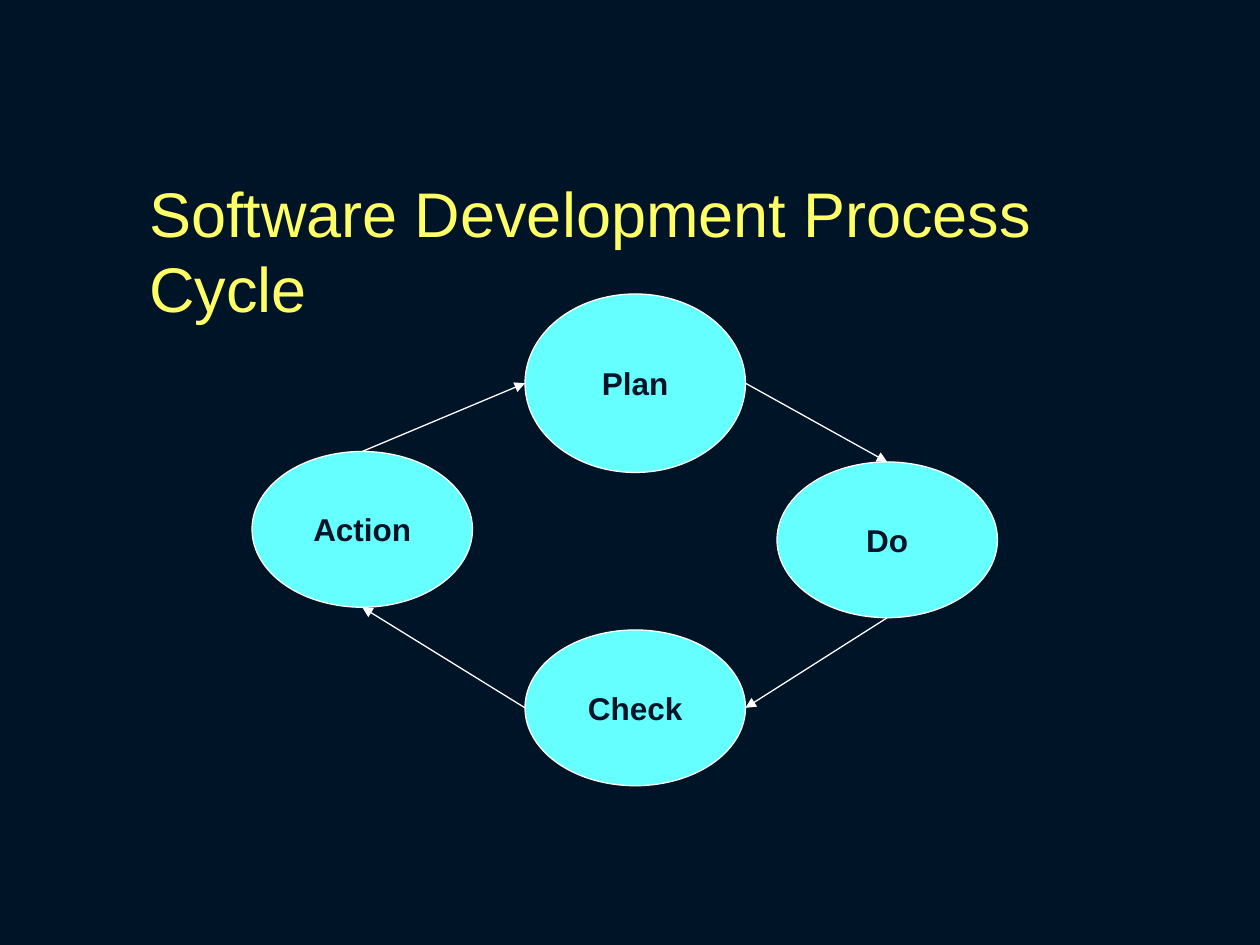
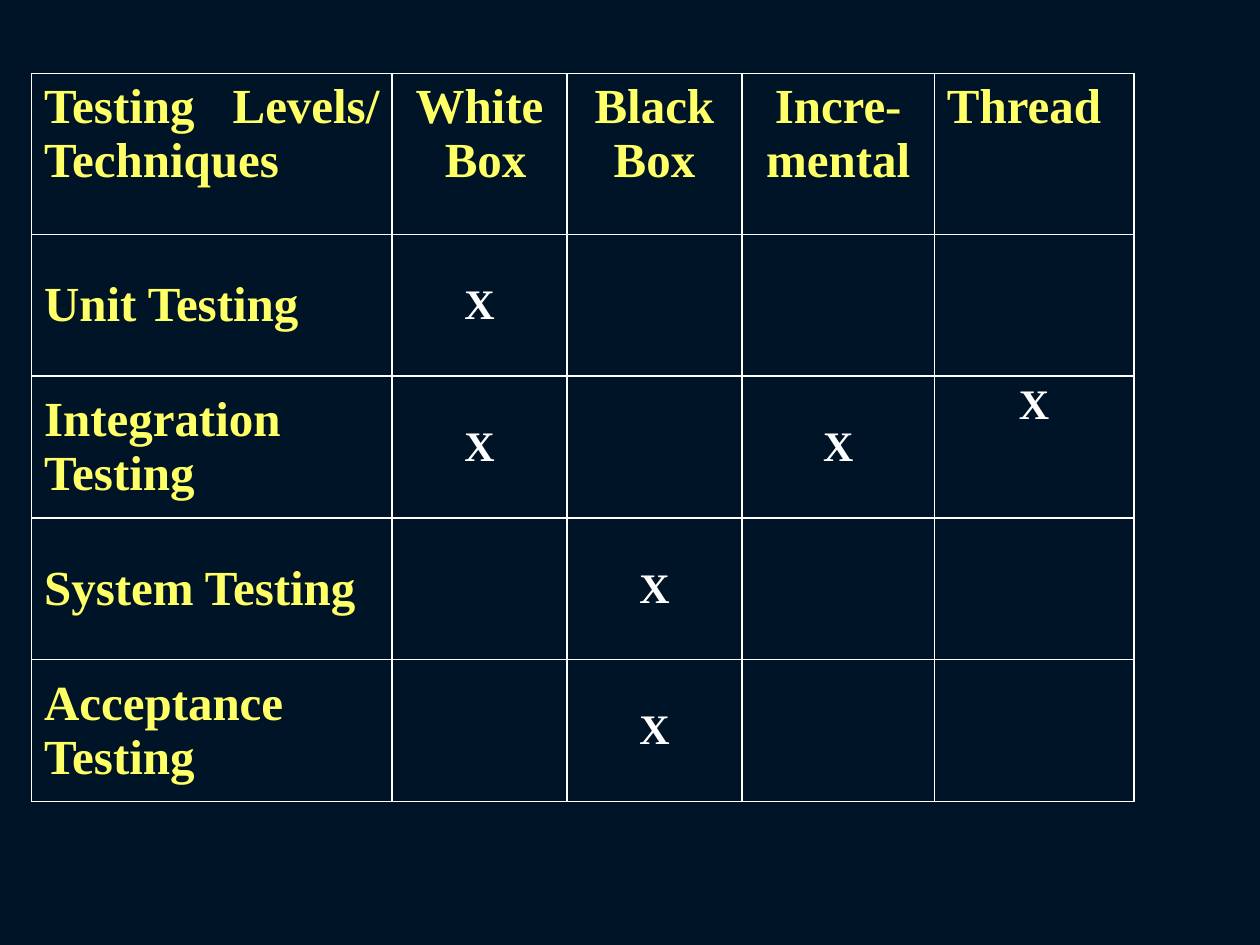
from lxml import etree
from pptx import Presentation
from pptx.dml.color import RGBColor
from pptx.enum import shapes, text
from pptx.oxml import ns
from pptx.util import Pt

NAVY = RGBColor(0x00, 0x14, 0x28)
YELLOW = RGBColor(0xFF, 0xFF, 0x66)
CYAN = RGBColor(0x66, 0xFF, 0xFF)
WHITE = RGBColor(0xFF, 0xFF, 0xFF)
SANS, SERIF = "Arial", "Times New Roman"
TITLE_ONLY, BLANK = 5, 6

LEFT, CENTER = text.PP_ALIGN.LEFT, text.PP_ALIGN.CENTER
JUSTIFY = text.PP_ALIGN.JUSTIFY
TOP, MIDDLE = text.MSO_ANCHOR.TOP, text.MSO_ANCHOR.MIDDLE


class Slides:
    """The deck's style and the page being drawn."""

    def __init__(self):
        self.deck = Presentation()
        self.deck.slide_width, self.deck.slide_height = Pt(720), Pt(540)
        background = self.deck.slide_master.background.fill
        background.solid()
        background.fore_color.rgb = NAVY
        self.page = None

    def add_page(self, layout):
        self.page = self.deck.slides.add_slide(self.deck.slide_layouts[layout])

    def format_text(self, frame, font, size, color, align, bold=True):
        for para in frame.paragraphs:
            para.alignment = align
            for span in para.runs:
                span.font.name, span.font.size = font, Pt(size)
                span.font.bold = bold
                span.font.color.rgb = color

    def title(self, words, left, top, width, height):
        box = self.page.shapes.title
        box.left, box.top = Pt(left), Pt(top)
        box.width, box.height = Pt(width), Pt(height)
        frame = box.text_frame
        frame.text = words
        frame.word_wrap = False
        frame.auto_size = text.MSO_AUTO_SIZE.SHAPE_TO_FIT_TEXT
        frame.vertical_anchor = TOP
        self.format_text(frame, SANS, 36, YELLOW, LEFT, bold=False)

    def ellipse(self, words, left, top, width, height):
        box = self.page.shapes.add_shape(
            shapes.MSO_SHAPE.OVAL, Pt(left), Pt(top), Pt(width), Pt(height))
        box.shadow.inherit = False
        box.fill.solid()
        box.fill.fore_color.rgb = CYAN
        box.line.color.rgb = WHITE
        box.line.width = Pt(0.75)
        frame = box.text_frame
        frame.text = words
        frame.word_wrap = False
        frame.vertical_anchor = MIDDLE
        self.format_text(frame, SANS, 18, NAVY, CENTER)
        return box

    def arrow(self, start, end):
        connector = self.page.shapes.add_connector(
            shapes.MSO_CONNECTOR.STRAIGHT, *start, *end)
        connector.line.color.rgb = WHITE
        connector.line.width = Pt(0.75)
        etree.SubElement(connector.line._get_or_add_ln(),
                         ns.qn("a:tailEnd"), type="triangle")
        etree.SubElement(connector._element.spPr, ns.qn("a:effectLst"))

    def table(self, left, top, widths, heights):
        frame = self.page.shapes.add_table(
            len(heights), len(widths), Pt(left), Pt(top),
            Pt(sum(widths)), Pt(sum(heights)))
        table = frame.table
        table.first_row = table.horz_banding = False
        for column, width in zip(table.columns, widths):
            column.width = Pt(width)
        for row, height in zip(table.rows, heights):
            row.height = Pt(height)
        for cell in table.iter_cells():
            self.border(cell)
            cell.fill.background()
        return table

    def border(self, cell):
        properties = cell._tc.get_or_add_tcPr()
        for side in ("lnL", "lnR", "lnT", "lnB"):
            line = etree.SubElement(properties, ns.qn(f"a:{side}"), w=str(Pt(1)))
            fill = etree.SubElement(line, ns.qn("a:solidFill"))
            etree.SubElement(fill, ns.qn("a:srgbClr"), val=str(WHITE))

    def cell(self, cell, words, size, color, align, anchor):
        cell.text_frame.text = words
        cell.vertical_anchor = anchor
        self.format_text(cell.text_frame, SERIF, size, color, align)


def side_points(box):
    """Return the middle of each side of a box."""
    middle_x, middle_y = box.left + box.width // 2, box.top + box.height // 2
    return {"top": (middle_x, box.top),
            "bottom": (middle_x, box.top + box.height),
            "left": (box.left, middle_y),
            "right": (box.left + box.width, middle_y)}


def draw_cycle(slides):
    slides.add_page(TITLE_ONLY)
    slides.title("Software Development Process Cycle", 78, 96, 618, 50)
    steps = [("Plan", 300, 168, 102), ("Do", 444, 264, 89),
             ("Check", 300, 360, 89), ("Action", 144, 258, 89)]
    points = {name: side_points(slides.ellipse(name, left, top, 126, height))
              for name, left, top, height in steps}
    for source, leaving, target, entering in [
            ("Action", "top", "Plan", "left"),
            ("Plan", "right", "Do", "top"),
            ("Do", "bottom", "Check", "right"),
            ("Check", "left", "Action", "bottom")]:
        slides.arrow(points[source][leaving], points[target][entering])


def draw_techniques(slides):
    slides.add_page(BLANK)
    techniques = ["Testing Levels/ Techniques", "White\n Box", "Black\nBox",
                  "Incre-\nmental", "Thread"]
    levels = {"Unit Testing": [1], "Integration Testing": [1, 3, 4],
              "System Testing": [2], "Acceptance Testing": [2]}
    table = slides.table(18, 42, [206, 100, 100, 110, 114],
                         [92] + [81] * len(levels))
    for column, technique in enumerate(techniques):
        align = CENTER if "\n" in technique else JUSTIFY
        slides.cell(table.cell(0, column), technique, 28, YELLOW, align, TOP)
    for row, (level, marked) in enumerate(levels.items(), start=1):
        slides.cell(table.cell(row, 0), level, 28, YELLOW, JUSTIFY, MIDDLE)
        for column in marked:
            anchor = TOP if techniques[column] == "Thread" else MIDDLE
            slides.cell(table.cell(row, column), "X", 24, WHITE, CENTER, anchor)


def main():
    slides = Slides()
    draw_cycle(slides)
    draw_techniques(slides)
    slides.deck.save("out.pptx")


if __name__ == "__main__":
    main()
